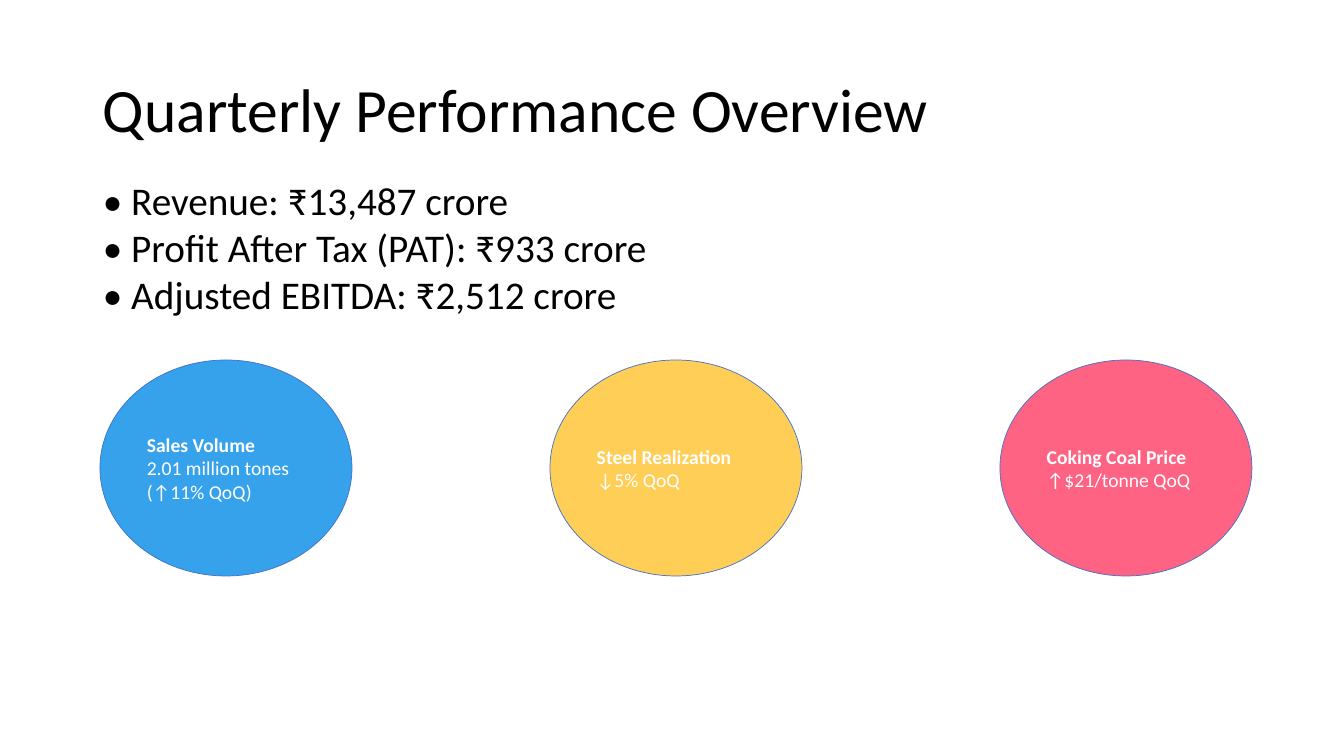
"""Build the quarterly performance overview slide."""
from dataclasses import dataclass

from pptx import Presentation
from pptx.dml.color import RGBColor
from pptx.enum.shapes import MSO_SHAPE
from pptx.enum.text import MSO_ANCHOR, PP_ALIGN
from pptx.slide import Slide
from pptx.text.text import TextFrame
from pptx.util import Emu, Pt

OVAL = MSO_SHAPE.OVAL
TOP = MSO_ANCHOR.TOP
MIDDLE = MSO_ANCHOR.MIDDLE
LEFT = PP_ALIGN.LEFT

EMU_PER_PX = 914400 / 100.8
SLIDE_WIDTH, SLIDE_HEIGHT = 1344, 756
CIRCLE_LEFT, CIRCLE_TOP, CIRCLE_PITCH = 100, 360, 450
CIRCLE_WIDTH, CIRCLE_HEIGHT = 252, 216


@dataclass(frozen=True)
class Theme:
    """Colours, font and type sizes of the slide."""

    font: str = "Calibri"
    ink: str = "000000"
    light: str = "FFFFFF"
    outline: str = "4472C4"
    blue: str = "36A2EB"
    yellow: str = "FFCE56"
    pink: str = "FF6384"
    title_size: int = 44
    body_size: int = 28
    label_size: int = 14
    outline_width: float = 0.5


@dataclass(frozen=True)
class Metric:
    """One circle with a bold heading and a detail line."""

    heading: str
    detail: str
    fill: str


THEME = Theme()
TITLE = "Quarterly Performance Overview"
RESULTS = [
    "• Revenue: ₹13,487 crore",
    "• Profit After Tax (PAT): ₹933 crore",
    "• Adjusted EBITDA: ₹2,512 crore",
]
METRICS = [
    Metric("Sales Volume", "2.01 million tones (↑11% QoQ)", THEME.blue),
    Metric("Steel Realization", "↓5% QoQ", THEME.yellow),
    Metric("Coking Coal Price", "↑$21/tonne QoQ", THEME.pink),
]


def px(length: int) -> Emu:
    """Turn pixels into EMU."""
    return Emu(round(length * EMU_PER_PX))


def write_lines(frame: TextFrame, lines: list[str], size: int, color: str,
                anchor: MSO_ANCHOR, bold_first: bool = False) -> None:
    """Write one left-aligned paragraph per line."""
    frame.word_wrap = True
    frame.vertical_anchor = anchor
    for index, line in enumerate(lines):
        para = frame.add_paragraph() if index else frame.paragraphs[0]
        para.text = line
        para.alignment = LEFT
        para.font.name = THEME.font
        para.font.size = Pt(size)
        para.font.bold = bold_first and index == 0
        para.font.color.rgb = RGBColor.from_string(color)


def add_text(page: Slide, left: int, top: int, width: int, height: int,
             lines: list[str], size: int, anchor: MSO_ANCHOR) -> TextFrame:
    """Add a text box and return its text frame."""
    box = page.shapes.add_textbox(px(left), px(top), px(width), px(height))
    write_lines(box.text_frame, lines, size, THEME.ink, anchor)
    return box.text_frame


def add_metric(page: Slide, left: int, metric: Metric) -> None:
    """Add one metric circle."""
    circle = page.shapes.add_shape(OVAL, px(left), px(CIRCLE_TOP),
                                   px(CIRCLE_WIDTH), px(CIRCLE_HEIGHT))
    circle.shadow.inherit = False
    circle.fill.solid()
    circle.fill.fore_color.rgb = RGBColor.from_string(metric.fill)
    circle.line.color.rgb = RGBColor.from_string(THEME.outline)
    circle.line.width = Pt(THEME.outline_width)
    write_lines(circle.text_frame, [metric.heading, metric.detail],
                THEME.label_size, THEME.light, MIDDLE, bold_first=True)


def main() -> None:
    """Build and save the deck."""
    deck = Presentation()
    deck.slide_width, deck.slide_height = px(SLIDE_WIDTH), px(SLIDE_HEIGHT)
    page = deck.slides.add_slide(deck.slide_layouts[6])
    title = add_text(page, 93, 40, 1159, 146, [TITLE], THEME.title_size, MIDDLE)
    title.paragraphs[0].line_spacing = 0.9
    add_text(page, 93, 171, 932, 201, RESULTS, THEME.body_size, TOP)
    for index, metric in enumerate(METRICS):
        add_metric(page, CIRCLE_LEFT + index * CIRCLE_PITCH, metric)
    deck.save("out.pptx")


if __name__ == "__main__":
    main()
